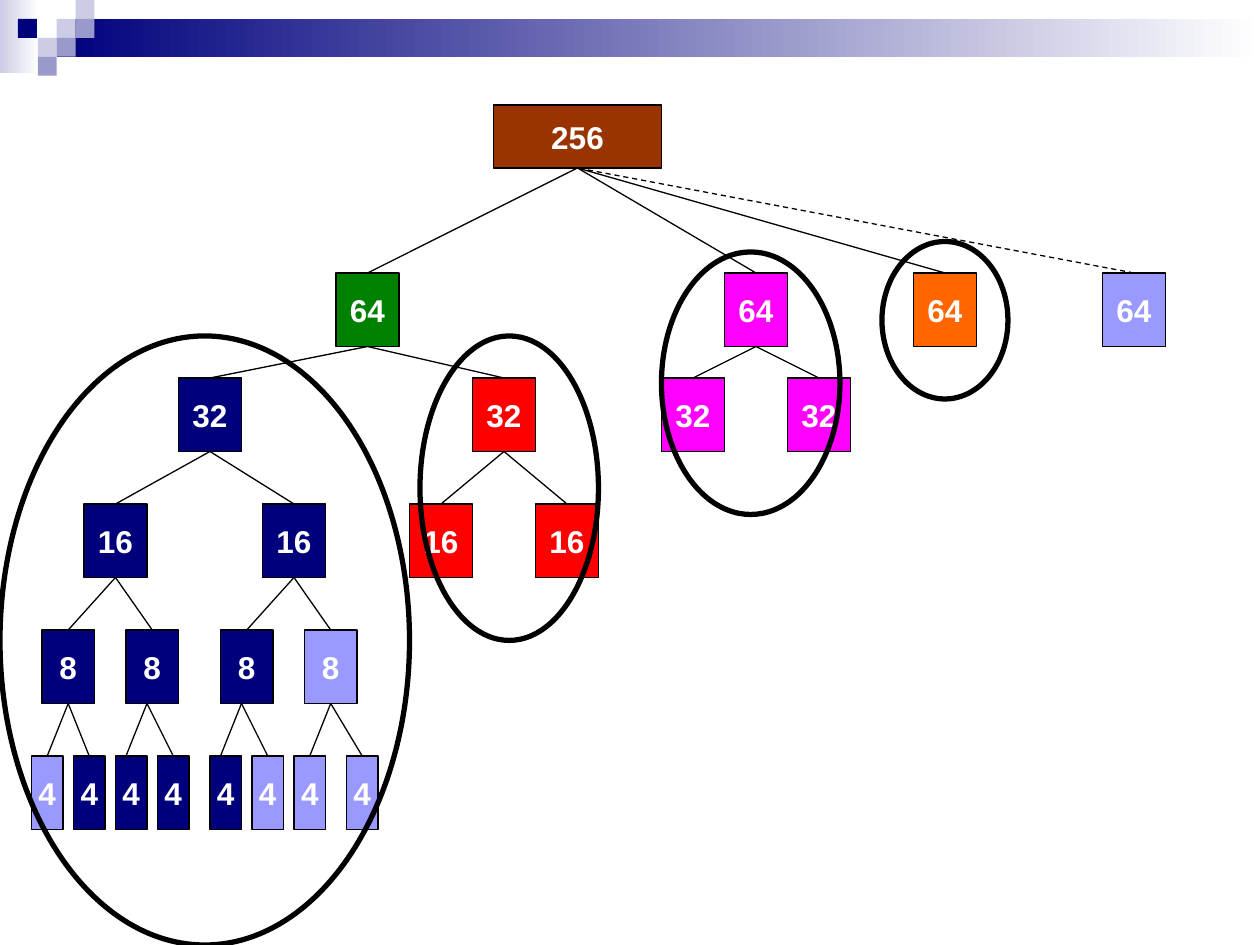
import pptx
import pptx.dml.color
import pptx.enum.dml
import pptx.enum.shapes
import pptx.enum.text
import pptx.oxml.ns
import pptx.util
from lxml import etree

RGB = pptx.dml.color.RGBColor
SHAPES = pptx.enum.shapes.MSO_SHAPE
BLACK, WHITE = RGB(0, 0, 0), RGB(255, 255, 255)
NAVY, LAVENDER, MIST = RGB(0, 0, 0x7D), RGB(0x99, 0x99, 0xCC), RGB(0xCC, 0xCC, 0xE6)
PERIWINKLE, BROWN, GREEN = RGB(0x99, 0x99, 0xFF), RGB(0x99, 0x33, 0), RGB(0, 0x80, 0)
RED, MAGENTA, ORANGE = RGB(255, 0, 0), RGB(255, 0, 255), RGB(255, 0x66, 0)

GRID = 1 / 12
TILE = 0.15


def node(size, left, color, *children, nudge=0, dashed=False):
    return {"size": size, "left": left, "color": color, "children": children,
            "nudge": nudge, "dashed": dashed}


LEVELS = {256: (10, 16, 6), 64: (26, 6, 7), 32: (36, 6, 7),
          16: (48, 6, 7), 8: (60, 5, 7), 4: (72, 3, 7)}

TREE = node(
    256, 47, BROWN,
    node(64, 32, GREEN,
         node(32, 17, NAVY,
              node(16, 8, NAVY,
                   node(8, 4, NAVY, node(4, 3, PERIWINKLE), node(4, 7, NAVY)),
                   node(8, 12, NAVY, node(4, 11, NAVY, nudge=-0.5), node(4, 15, NAVY),
                        nudge=-0.5)),
              node(16, 25, NAVY,
                   node(8, 21, NAVY, node(4, 20, NAVY, nudge=-0.5), node(4, 24, PERIWINKLE),
                        nudge=-0.5),
                   node(8, 29, PERIWINKLE, node(4, 28, PERIWINKLE), node(4, 33, PERIWINKLE)))),
         node(32, 45, RED, node(16, 39, RED), node(16, 51, RED))),
    node(64, 69, MAGENTA, node(32, 63, MAGENTA), node(32, 75, MAGENTA)),
    node(64, 87, ORANGE),
    node(64, 105, PERIWINKLE, dashed=True))

RINGS = [(0, 32, 39, 58), (40, 32, 17, 29), (63, 24, 17, 25), (84, 23, 12, 15)]
BANDS = [((0, 0, 0.31, 0.58), MIST), ((0.45, 0.15, 9.55, 0.3), NAVY)]
TILES = [(3, 1, MIST), (4, 0, MIST), (4, 1, LAVENDER), (2, 2, MIST),
         (0.95, 1, NAVY), (3, 2, LAVENDER), (2, 3, LAVENDER)]

presentation = pptx.Presentation()
presentation.slide_width = pptx.util.Inches(10)
presentation.slide_height = pptx.util.Inches(7.5)
slide = presentation.slides.add_slide(presentation.slide_layouts[6])


def add_shape(kind, place, scale=1, fill=None, line_width=None):
    shape = slide.shapes.add_shape(kind, *(pptx.util.Inches(v * scale) for v in place))
    shape.shadow.inherit = False
    if fill is None:
        shape.fill.background()
    else:
        shape.fill.solid()
        shape.fill.fore_color.rgb = fill
    if line_width is None:
        shape.line.fill.background()
    else:
        shape.line.color.rgb = BLACK
        shape.line.width = pptx.util.Pt(line_width)
    return shape


def write_text(shape, text, size=18, color=WHITE, bold=True, font_name="Arial"):
    frame = shape.text_frame
    frame.word_wrap = False
    frame.vertical_anchor = pptx.enum.text.MSO_ANCHOR.MIDDLE
    paragraph = frame.paragraphs[0]
    paragraph.alignment = pptx.enum.text.PP_ALIGN.CENTER
    run = paragraph.add_run()
    run.text = text
    run.font.name, run.font.bold = font_name, bold
    run.font.size = pptx.util.Pt(size)
    run.font.color.rgb = color


def add_branch(start, end, dashed):
    points = [pptx.util.Inches(v * GRID) for v in (*start, *end)]
    connector = slide.shapes.add_connector(pptx.enum.shapes.MSO_CONNECTOR.STRAIGHT, *points)
    connector.line.color.rgb = BLACK
    connector.line.width = pptx.util.Pt(0.75)
    if dashed:
        connector.line.dash_style = pptx.enum.dml.MSO_LINE.DASH
    etree.SubElement(connector._element.spPr, pptx.oxml.ns.qn("a:effectLst"))


def draw_tree(item):
    top, width, height = LEVELS[item["size"]]
    box = add_shape(SHAPES.RECTANGLE, (item["left"], top, width, height), GRID,
                    item["color"], 0.75)
    write_text(box, str(item["size"]))
    fork = item["left"] + width / 2
    for child in item["children"]:
        child_top, child_width, _ = LEVELS[child["size"]]
        child_center = child["left"] + child_width / 2
        if not child["children"]:
            child_center += child["nudge"]
        add_branch((child_center, child_top), (fork + item["nudge"], top + height),
                   child["dashed"])
        draw_tree(child)


for place, color in BANDS:
    band = add_shape(SHAPES.RECTANGLE, place, fill=color)
    band.fill.gradient()
    band.fill.gradient_angle = 0
    for stop, stop_color in zip(band.fill.gradient_stops, (color, WHITE)):
        stop.color.rgb = stop_color

for column, row, color in TILES:
    add_shape(SHAPES.RECTANGLE, (column, row, 1, 1), TILE, color)

draw_tree(TREE)

for ring in RINGS:
    add_shape(SHAPES.OVAL, ring, GRID, line_width=3)

presentation.save("out.pptx")
